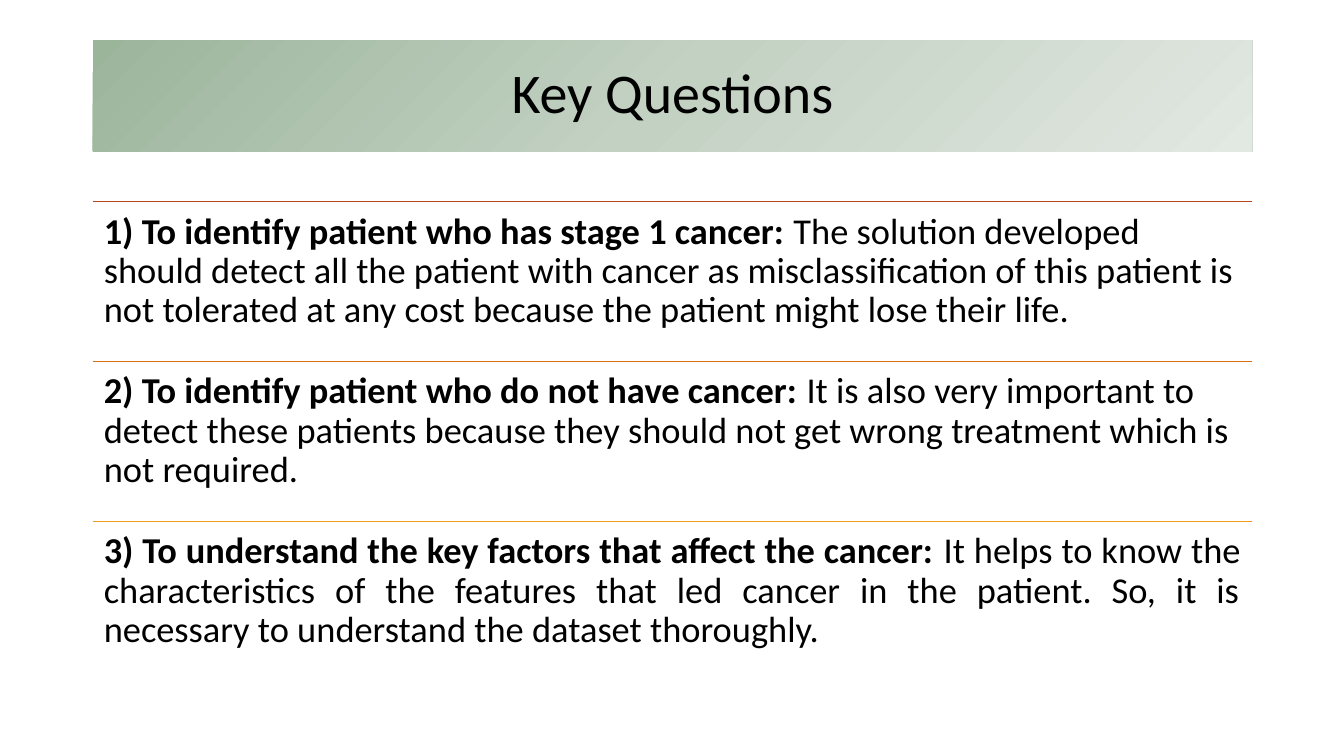
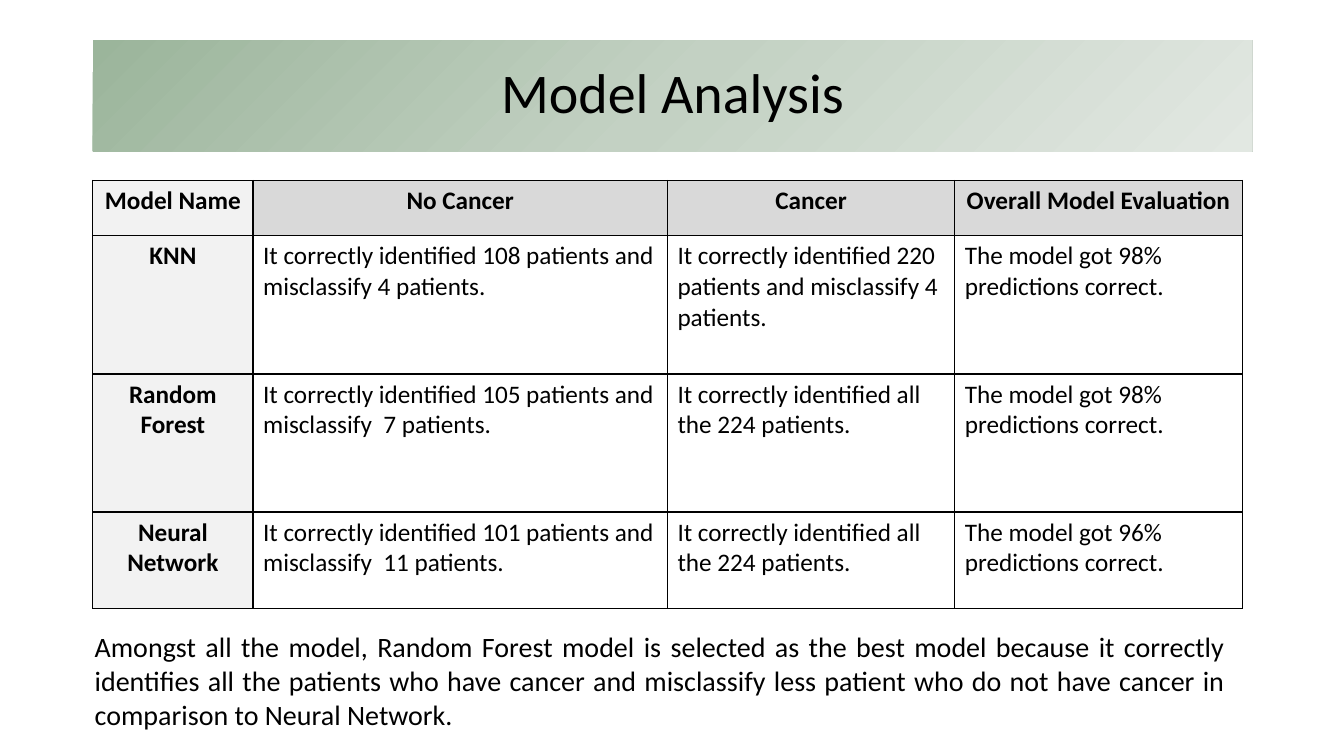
"""Build the key questions and model analysis slides."""
import copy
import dataclasses
import typing

import lxml.etree
import pptx
import pptx.dml.color
import pptx.enum.dml
import pptx.enum.shapes
import pptx.enum.text
import pptx.oxml.ns
import pptx.presentation
import pptx.shapes.base
import pptx.slide
import pptx.table
import pptx.text.text
import pptx.util

Inches = pptx.util.Inches
Align = pptx.enum.text.PP_ALIGN
Anchor = pptx.enum.text.MSO_ANCHOR
qn = pptx.oxml.ns.qn


@dataclasses.dataclass(frozen=True)
class Theme:
    font: str = "Calibri"
    ink: str = "000000"
    paper: str = "FFFFFF"
    band: tuple[str, ...] = ("9BB59B", "C3D1C3", "E2E8E2")
    head_column: str = "F2F2F2"
    head_row: str = "D9D9D9"
    title_size: int = 40
    question_size: int = 26
    table_size: int = 18
    verdict_size: int = 20
    line_width: int = 1
    line_spacing: float = 0.9
    left: float = 0.92
    width: float = 11.5


class Question(typing.NamedTuple):
    aim: str
    reason: str
    rule_color: str
    alignment: Align = Align.LEFT


class ModelResult(typing.NamedTuple):
    name: str
    no_cancer: str
    cancer: str
    overall: str


THEME = Theme()
QUESTIONS = (
    Question(
        "1) To identify patient who has stage 1 cancer: ",
        "The solution developed should detect all the patient with cancer as "
        "misclassification of this patient is not tolerated at any cost because "
        "the patient might lose their life.",
        "B74919",
    ),
    Question(
        "2) To identify patient who do not have cancer: ",
        "It is also very important to detect these patients because they should "
        "not get wrong treatment which is not required.",
        "D86E15",
    ),
    Question(
        "3) To understand the key factors that affect the cancer: ",
        "It helps to know the characteristics of the features that led cancer in "
        "the patient. So, it is necessary to understand the dataset thoroughly.",
        "F19D19",
        Align.JUSTIFY,
    ),
)
RESULTS = (
    ModelResult("Model Name", "No Cancer", "Cancer", "Overall Model Evaluation"),
    ModelResult(
        "KNN",
        "It correctly identified 108 patients and misclassify 4 patients.",
        "It correctly identified 220 patients and misclassify 4 patients.",
        "The model got 98% predictions correct.",
    ),
    ModelResult(
        "Random Forest",
        "It correctly identified 105 patients and misclassify  7 patients.",
        "It correctly identified all the 224 patients.",
        "The model got 98% predictions correct.",
    ),
    ModelResult(
        "Neural Network",
        "It correctly identified 101 patients and misclassify  11 patients.",
        "It correctly identified all the 224 patients.",
        "The model got 96% predictions correct.",
    ),
)
COLUMN_WIDTHS = (1.59, 4.11, 2.85, 2.85)
ROW_HEIGHTS = (0.55, 1.37, 1.37, 0.96)
VERDICT = (
    "Amongst all the model, Random Forest model is selected as the best model "
    "because it correctly identifies all the patients who have cancer and "
    "misclassify less patient who do not have cancer in comparison to Neural Network."
)


def rgb(value: str) -> pptx.dml.color.RGBColor:
    return pptx.dml.color.RGBColor.from_string(value)


def apply_format(target: object, values: dict[str, object]) -> None:
    for attribute, value in values.items():
        setattr(target, attribute, value)


def add_text(
    paragraph: pptx.text.text._Paragraph, text: str, size: int, bold: bool = False
) -> None:
    run = paragraph.add_run()
    run.text = text
    apply_format(
        run.font, {"name": THEME.font, "size": pptx.util.Pt(size), "bold": bold}
    )
    run.font.color.rgb = rgb(THEME.ink)


def add_title(slide: pptx.slide.Slide, text: str) -> None:
    band = slide.shapes.add_shape(
        pptx.enum.shapes.MSO_SHAPE.RECTANGLE,
        Inches(THEME.left), Inches(0.4), Inches(THEME.width), Inches(1.1),
    )
    band.shadow.inherit = False
    band.line.fill.background()
    band.fill.gradient()
    band.fill.gradient_angle = 315
    stops = band._element.spPr.find(".//" + qn("a:gsLst"))
    stops.insert(1, copy.deepcopy(stops[0]))
    for index, (stop, color) in enumerate(zip(band.fill.gradient_stops, THEME.band)):
        stop.position = index / (len(THEME.band) - 1)
        stop.color.rgb = rgb(color)
    band.text_frame.vertical_anchor = Anchor.MIDDLE
    heading = band.text_frame.paragraphs[0]
    apply_format(
        heading, {"alignment": Align.CENTER, "line_spacing": THEME.line_spacing}
    )
    add_text(heading, text, THEME.title_size)


def add_text_box(
    slide: pptx.slide.Slide,
    left: float,
    top: float,
    width: float,
    height: float,
    frame_format: dict[str, object],
    paragraph_format: dict[str, object],
) -> pptx.text.text._Paragraph:
    box = slide.shapes.add_textbox(
        Inches(left), Inches(top), Inches(width), Inches(height)
    )
    apply_format(box.text_frame, {"word_wrap": True, **frame_format})
    paragraph = box.text_frame.paragraphs[0]
    apply_format(paragraph, paragraph_format)
    return paragraph


def add_question(
    slide: pptx.slide.Slide, question: Question, top: float, height: float
) -> None:
    rule = slide.shapes.add_connector(
        pptx.enum.shapes.MSO_CONNECTOR.STRAIGHT,
        Inches(THEME.left), Inches(top),
        Inches(THEME.left + THEME.width), Inches(top),
    )
    rule.line.color.rgb = rgb(question.rule_color)
    rule.line.width = pptx.util.Pt(THEME.line_width)
    lxml.etree.SubElement(rule._element.spPr, qn("a:effectLst"))
    sides = ("left", "top", "right", "bottom")
    paragraph = add_text_box(
        slide, THEME.left, top, THEME.width, height,
        {f"margin_{side}": Inches(0.11) for side in sides},
        {"alignment": question.alignment, "line_spacing": THEME.line_spacing},
    )
    add_text(paragraph, question.aim, THEME.question_size, bold=True)
    add_text(paragraph, question.reason, THEME.question_size)


def add_borders(cell: pptx.table._Cell) -> None:
    properties = cell._tc.get_or_add_tcPr()
    for index, side in enumerate(("a:lnL", "a:lnR", "a:lnT", "a:lnB")):
        border = lxml.etree.Element(
            qn(side), w=str(int(pptx.util.Pt(THEME.line_width)))
        )
        fill = lxml.etree.SubElement(border, qn("a:solidFill"))
        lxml.etree.SubElement(fill, qn("a:srgbClr"), val=THEME.ink)
        properties.insert(index, border)


def add_results(slide: pptx.slide.Slide) -> None:
    results = slide.shapes.add_table(
        len(RESULTS), len(COLUMN_WIDTHS), Inches(THEME.left), Inches(1.79),
        Inches(sum(COLUMN_WIDTHS)), Inches(sum(ROW_HEIGHTS)),
    ).table
    apply_format(results, {"first_row": False, "horz_banding": False})
    for column, width in zip(results.columns, COLUMN_WIDTHS):
        column.width = Inches(width)
    for row, height in zip(results.rows, ROW_HEIGHTS):
        row.height = Inches(height)
    for row_index, result in enumerate(RESULTS):
        for column_index, text in enumerate(result):
            cell = results.cell(row_index, column_index)
            is_head = row_index == 0 or column_index == 0
            if column_index == 0:
                color = THEME.head_column
            else:
                color = THEME.head_row if row_index == 0 else THEME.paper
            cell.fill.solid()
            cell.fill.fore_color.rgb = rgb(color)
            add_borders(cell)
            paragraph = cell.text_frame.paragraphs[0]
            paragraph.alignment = Align.CENTER if is_head else Align.LEFT
            add_text(paragraph, text, THEME.table_size, bold=is_head)


def add_slide(deck: pptx.presentation.Presentation, title: str) -> pptx.slide.Slide:
    slide = deck.slides.add_slide(deck.slide_layouts[6])
    add_title(slide, title)
    return slide


def main() -> None:
    deck = pptx.Presentation()
    apply_format(
        deck, {"slide_width": Inches(13.33), "slide_height": Inches(7.5)}
    )

    questions_slide = add_slide(deck, "Key Questions")
    pitch = 4.76 / len(QUESTIONS)
    for index, question in enumerate(QUESTIONS):
        add_question(questions_slide, question, 2 + index * pitch, pitch)

    analysis_slide = add_slide(deck, "Model Analysis")
    add_results(analysis_slide)
    verdict = add_text_box(
        analysis_slide, 0.84, 6.2, 11.41, 1.11,
        {"auto_size": pptx.enum.text.MSO_AUTO_SIZE.SHAPE_TO_FIT_TEXT},
        {"alignment": Align.JUSTIFY},
    )
    add_text(verdict, VERDICT, THEME.verdict_size)

    deck.save("out.pptx")


if __name__ == "__main__":
    main()
